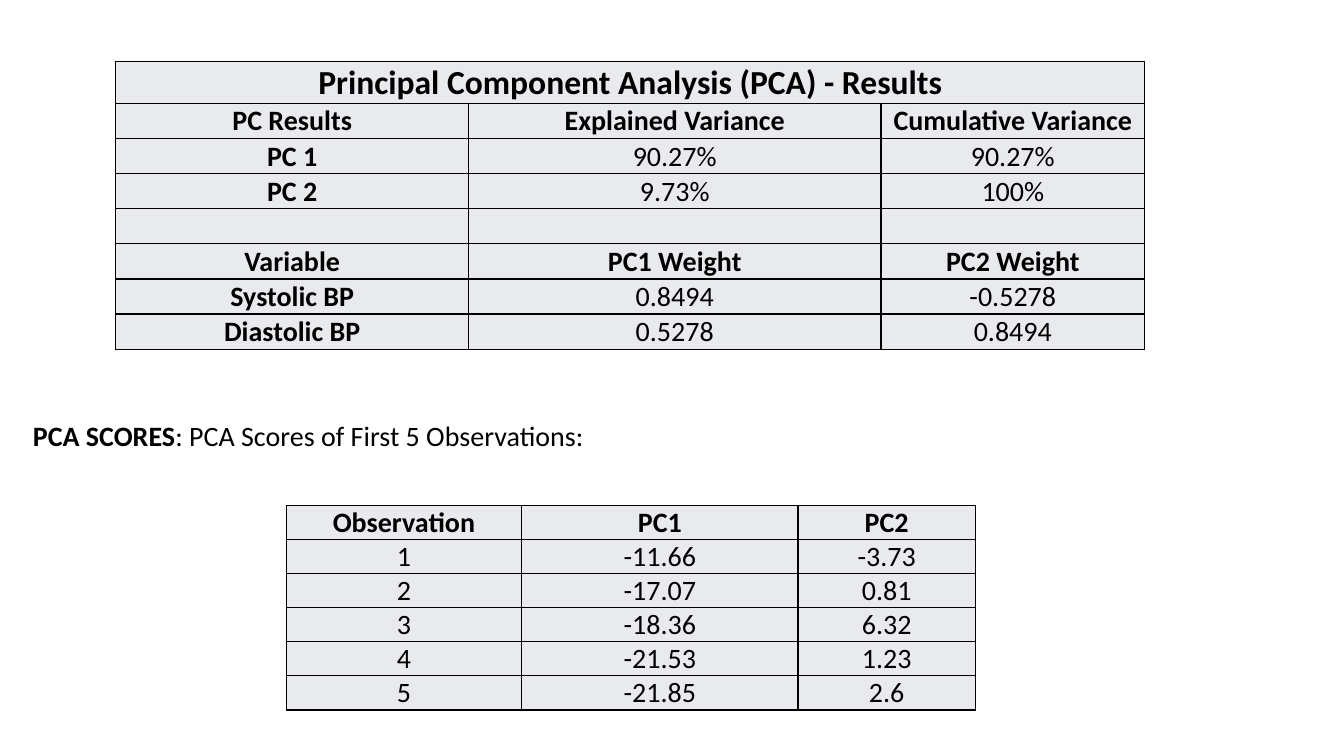
from dataclasses import dataclass

from lxml import etree
from pptx import Presentation
from pptx.dml.color import RGBColor
from pptx.enum import text
from pptx.oxml import ns
from pptx.util import Cm, Pt

FONT = "Calibri"
BLACK = "000000"
CELL_FILL = "E8EAED"
BODY_SIZE = 20
TITLE_SIZE = 24
BOTTOM, MIDDLE = text.MSO_ANCHOR.BOTTOM, text.MSO_ANCHOR.MIDDLE


@dataclass
class Grid:
    """A bordered table; lengths in centimetres."""
    left: float
    top: float
    widths: list[float]
    heights: list[float]
    rows: list[list[str]]
    header_rows: set[int]
    top_margin: float
    bold_first_column: bool = False
    title: bool = False
    bottom_rows: int = 0  # leading rows whose text sits at the bottom


def rgb(value: str) -> RGBColor:
    return RGBColor.from_string(value)


def set_font(font, size: float, bold: bool | None = None) -> None:
    font.name, font.size, font.bold = FONT, Pt(size), bold
    font.color.rgb = rgb(BLACK)


def add_borders(cell) -> None:
    tc_pr = cell._tc.get_or_add_tcPr()
    for side in ("lnL", "lnR", "lnT", "lnB"):
        ln = etree.SubElement(tc_pr, ns.qn(f"a:{side}"), w=str(Pt(1)))
        fill = etree.SubElement(ln, ns.qn("a:solidFill"))
        etree.SubElement(fill, ns.qn("a:srgbClr"), val=BLACK)


def draw_grid(slide, grid: Grid) -> None:
    table = slide.shapes.add_table(
        len(grid.rows), len(grid.widths), Cm(grid.left), Cm(grid.top),
        Cm(sum(grid.widths)), Cm(sum(grid.heights))).table
    table.first_row = table.horz_banding = False
    for column, width in zip(table.columns, grid.widths):
        column.width = Cm(width)
    for row, height in zip(table.rows, grid.heights):
        row.height = Cm(height)

    for i, values in enumerate(grid.rows):
        for j, value in enumerate(values):
            cell = table.cell(i, j)
            add_borders(cell)
            cell.fill.solid()
            cell.fill.fore_color.rgb = rgb(CELL_FILL)
            cell.margin_left = cell.margin_right = Cm(0.02)
            cell.margin_top, cell.margin_bottom = Cm(grid.top_margin), 0
            cell.vertical_anchor = BOTTOM if i < grid.bottom_rows else MIDDLE
            p = cell.text_frame.paragraphs[0]
            p.alignment = text.PP_ALIGN.CENTER
            size = TITLE_SIZE if grid.title and i == 0 else BODY_SIZE
            bold = i in grid.header_rows or (grid.bold_first_column and j == 0)
            set_font(p.font, size, bold)
            if value:
                p.add_run().text = value
    if grid.title:
        table.cell(0, 0).merge(table.cell(0, len(grid.widths) - 1))


def draw_caption(slide, label: str, rest: str) -> None:
    tf = slide.shapes.add_textbox(Cm(0.58), Cm(10.41), Cm(16.94), Cm(1.12)).text_frame
    tf.word_wrap = True
    tf.auto_size = text.MSO_AUTO_SIZE.SHAPE_TO_FIT_TEXT
    p = tf.paragraphs[0]
    set_font(p.font, BODY_SIZE)
    for content, bold in ((label, True), (rest, False)):
        r = p.add_run()
        r.text, r.font.bold = content, bold


RESULTS = Grid(
    left=2.92, top=1.55, widths=[8.89, 10.39, 6.65], heights=[1.05] + [0.88] * 7,
    rows=[
        ["Principal Component Analysis (PCA) - Results", "", ""],
        ["PC Results", "Explained Variance", "Cumulative Variance"],
        ["PC 1", "90.27%", "90.27%"],
        ["PC 2", "9.73%", "100%"],
        ["", "", ""],
        ["Variable", "PC1 Weight", "PC2 Weight"],
        ["Systolic BP", "0.8494", "-0.5278"],
        ["Diastolic BP", "0.5278", "0.8494"],
    ],
    header_rows={0, 1, 5}, top_margin=0.02, bold_first_column=True, title=True,
    bottom_rows=5)

SCORES = Grid(
    left=7.21, top=12.73, widths=[5.94, 6.96, 4.47], heights=[0.86] * 6,
    rows=[
        ["Observation", "PC1", "PC2"],
        ["1", "-11.66", "-3.73"],
        ["2", "-17.07", "0.81"],
        ["3", "-18.36", "6.32"],
        ["4", "-21.53", "1.23"],
        ["5", "-21.85", "2.6"],
    ],
    header_rows={0}, top_margin=0.01)


def main() -> None:
    prs = Presentation()
    prs.slide_width, prs.slide_height = Cm(33.87), Cm(19.05)
    slide = prs.slides.add_slide(prs.slide_layouts[6])

    # Variance and weights
    draw_grid(slide, RESULTS)

    # Scores with their caption
    draw_caption(slide, "PCA SCORES", ": PCA Scores of First 5 Observations:")
    draw_grid(slide, SCORES)

    prs.save("out.pptx")


if __name__ == "__main__":
    main()
